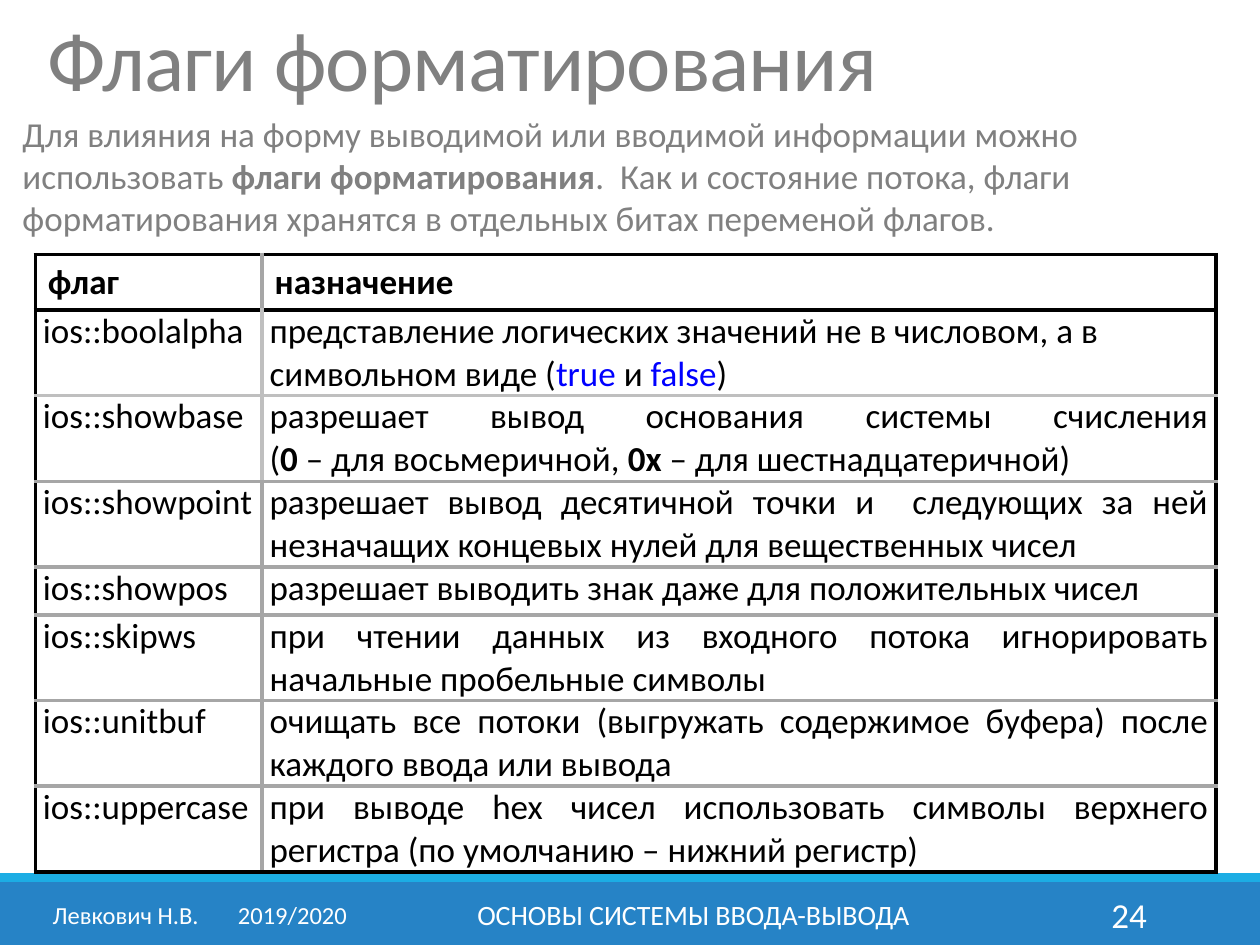
from dataclasses import dataclass

from lxml.etree import SubElement
from pptx import Presentation
from pptx.dml.color import RGBColor as RGB
from pptx.enum.shapes import MSO_SHAPE as SHAPE
from pptx.enum.text import MSO_ANCHOR as ANCHOR, MSO_AUTO_SIZE as AUTO, PP_ALIGN as ALIGN
from pptx.oxml.ns import qn
from pptx.util import Inches, Pt


@dataclass(frozen=True)
class Theme:
    font: str = "Calibri"
    grey: str = "808080"
    black: str = "000000"
    white: str = "FFFFFF"
    keyword: str = "0000FF"
    bar: str = "2683C6"
    stripe: str = "1CADE4"
    rule: str = "A6A6A6"
    light_rule: str = "BFBFBF"
    rule_width: float = 2.25
    title: int = 48
    body: int = 20
    footer: int = 16
    author: int = 14


T = Theme()

TITLE = "Флаги форматирования"
INTRO = [
    "Для влияния на форму выводимой или вводимой информации можно использовать ",
    ("флаги форматирования", "bold"),
    ".  Как и состояние потока, флаги форматирования хранятся "
    "в отдельных битах переменой флагов.",
]
HEADER = ("флаг", "назначение")
FLAGS = [
    ("ios::boolalpha", [
        "представление логических значений не в числовом, а в символьном виде (",
        ("true ", "keyword"), "и ", ("false", "keyword"), ")"]),
    ("ios::showbase", [
        "разрешает вывод основания системы счисления", "\n", "(", ("0", "bold"),
        " – для восьмеричной, ", ("0х", "bold"), " – для шестнадцатеричной)"]),
    ("ios::showpoint", ["разрешает вывод десятичной точки и  следующих за ней "
                        "незначащих концевых нулей для вещественных чисел"]),
    ("ios::showpos", ["разрешает выводить знак даже для положительных чисел"]),
    ("ios::skipws", ["при чтении данных из входного потока игнорировать "
                     "начальные пробельные символы"]),
    ("ios::unitbuf", ["очищать все потоки (выгружать содержимое буфера) "
                      "после каждого ввода или вывода"]),
    ("ios::uppercase", ["при выводе hex чисел использовать символы верхнего "
                        "регистра (по умолчанию – нижний регистр)"]),
]
COLUMNS = (1.8, 7.57)
HEADER_HEIGHT, ONE_LINE, TWO_LINES = 0.44, 0.38, 0.68
ROWS = [HEADER_HEIGHT] + [ONE_LINE if flag == "ios::showpos" else TWO_LINES
                          for flag, _ in FLAGS]


def style(font, size, color, bold=False):
    font.name, font.size, font.bold = T.font, Pt(size), bold
    font.color.rgb = RGB.from_string(color)


def write(p, parts, size, color):
    """Fill a paragraph from plain strings, line breaks and (text, mark) pairs."""
    for part in parts:
        if part == "\n":
            p.add_line_break()
            continue
        text, mark = (part, None) if isinstance(part, str) else part
        r = p.add_run()
        r.text = text
        style(r.font, size, T.keyword if mark == "keyword" else color, mark == "bold")


def add_text(s, box, parts, size, color, align=ALIGN.LEFT, anchor=ANCHOR.TOP, tab=None):
    tf = s.shapes.add_textbox(*map(Inches, box)).text_frame
    tf.word_wrap, tf.vertical_anchor = True, anchor
    p = tf.paragraphs[0]
    p.alignment = align
    if tab:
        tabs = SubElement(p._p.get_or_add_pPr(), qn("a:tabLst"))
        SubElement(tabs, qn("a:tab"), pos=str(Inches(tab)), algn="l")
    write(p, parts, size, color)


def add_band(s, box, color):
    sp = s.shapes.add_shape(SHAPE.RECTANGLE, *map(Inches, box))
    sp.shadow.inherit = False
    sp.fill.solid()
    sp.fill.fore_color.rgb = RGB.from_string(color)
    sp.line.fill.background()


def add_title(s, box):
    sp = s.shapes.title
    sp.left, sp.top, sp.width, sp.height = map(Inches, box)
    tf = sp.text_frame
    tf.text = TITLE
    tf.auto_size, tf.vertical_anchor = AUTO.NONE, ANCHOR.TOP
    p = tf.paragraphs[0]
    p.alignment, p.line_spacing = ALIGN.LEFT, 0.85
    style(p.runs[0].font, T.title, T.grey)
    p.runs[0].font._element.set("spc", "-50")


def set_borders(cell, **colors):
    tcPr = cell._tc.get_or_add_tcPr()
    for side, color in colors.items():
        ln = SubElement(tcPr, qn(f"a:ln{side}"), w=str(Pt(T.rule_width)))
        SubElement(SubElement(ln, qn("a:solidFill")), qn("a:srgbClr"), val=color)


def horizontal_rule(edge):
    """Colour of the line above row number `edge`."""
    if edge in (0, 1, len(ROWS)):
        return T.black
    return T.light_rule if edge == 2 else T.rule


def add_flag_table(s, box):
    table = s.shapes.add_table(len(ROWS), len(COLUMNS), *map(Inches, box)).table
    table.first_row = table.horz_banding = False
    for column, width in zip(table.columns, COLUMNS):
        column.width = Inches(width)
    contents = [[[(text, "bold")] for text in HEADER]]
    contents += [[[flag], purpose] for flag, purpose in FLAGS]
    for i, (row, height) in enumerate(zip(table.rows, ROWS)):
        row.height = Inches(height)
        divider = T.light_rule if i in (1, 2) else T.rule
        for j, cell in enumerate(row.cells):
            if i:
                cell.margin_left = cell.margin_right = Inches(0.06)
                cell.margin_top = cell.margin_bottom = 0
            set_borders(cell, L=divider if j else T.black, R=T.black if j else divider,
                        T=horizontal_rule(i), B=horizontal_rule(i + 1))
            cell.fill.background()
            p = cell.text_frame.paragraphs[0]
            left = i == 0 or (i, j) == (1, 1)
            p.alignment = ALIGN.LEFT if left else ALIGN.JUSTIFY
            write(p, contents[i][j], T.body, T.black)


def add_footer(s, box):
    x, y, w, h = box
    stripe = 0.07
    add_band(s, (x, y + stripe, w, h - stripe), T.bar)
    add_band(s, (x, y, w, stripe), T.stripe)
    top, height = y + 0.13, 0.4
    add_text(s, (x + 0.32, top, 2.61, height), ["Левкович Н.В.\t2019/2020"],
             T.author, T.white, anchor=ANCHOR.MIDDLE, tab=1.47)
    add_text(s, (x + 3.02, top, 4.97, height), ["ОСНОВЫ СИСТЕМЫ ВВОДА-ВЫВОДА"],
             T.footer, T.white, ALIGN.CENTER, ANCHOR.MIDDLE)
    add_text(s, (x + 8.12, top, 1.08, height), ["24"],
             T.body, T.white, ALIGN.RIGHT, ANCHOR.MIDDLE)


def main():
    prs = Presentation()
    prs.slide_width, prs.slide_height = Inches(10), Inches(7.5)
    s = prs.slides.add_slide(prs.slide_layouts.get_by_name("Title Only"))
    add_footer(s, (0, 6.93, 10, 0.57))
    add_flag_table(s, (0.28, 2.02, sum(COLUMNS), sum(ROWS)))
    add_text(s, (0.08, 0.84, 9.65, 1.11), INTRO, T.body, T.grey)
    add_title(s, (0.28, 0.13, 8.05, 0.79))
    prs.save("out.pptx")


if __name__ == "__main__":
    main()
